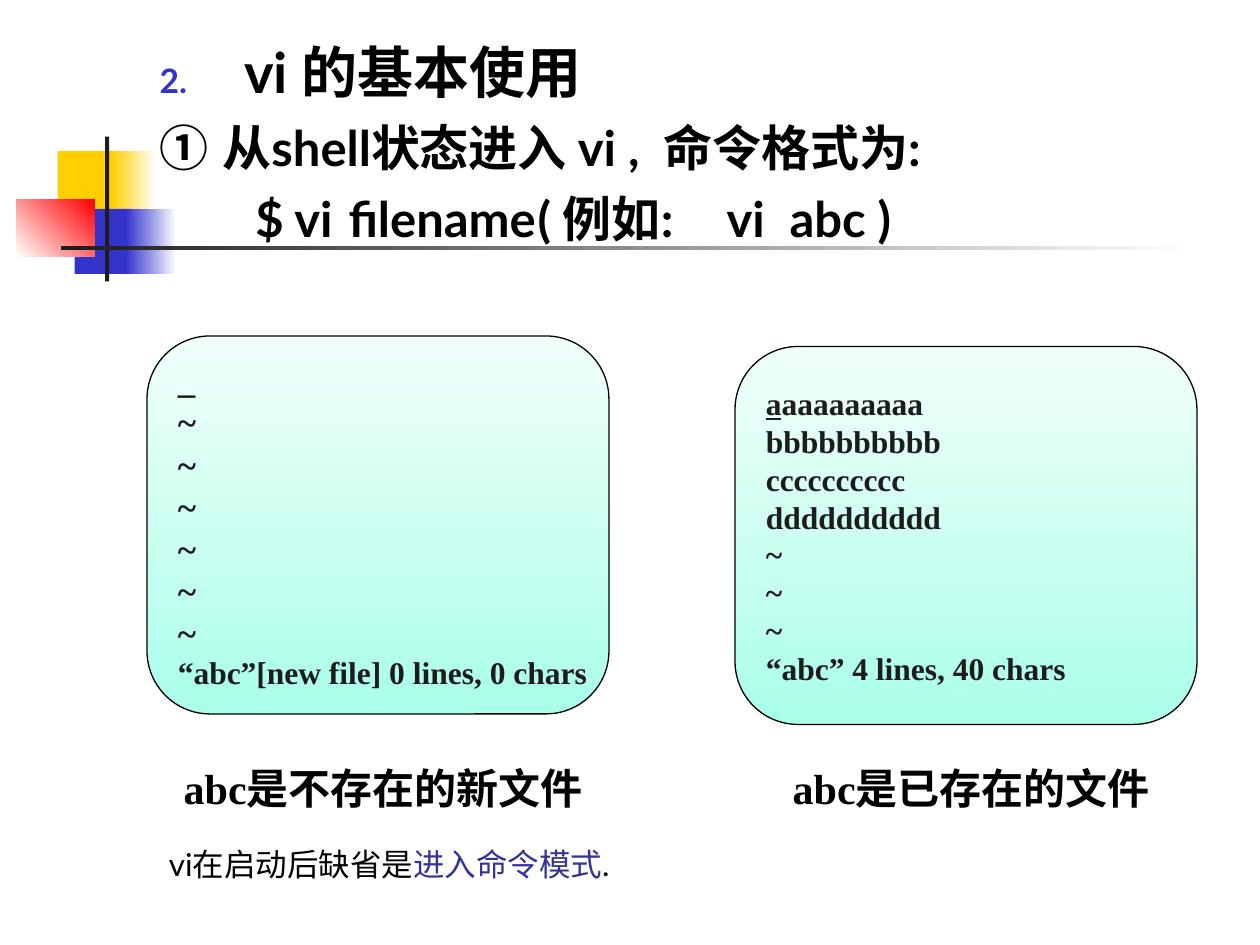
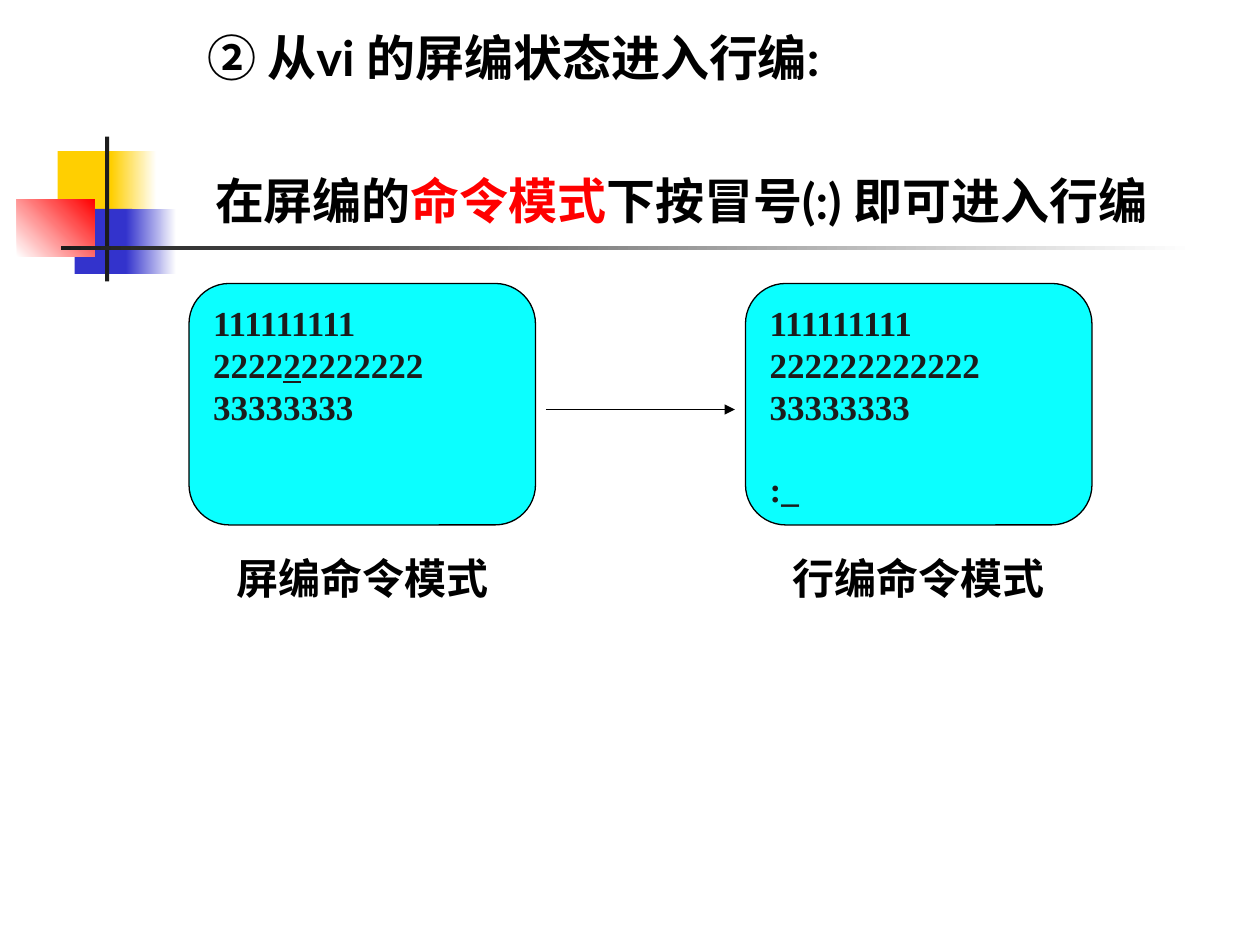
"""Build two slides on starting vi and on switching to its line editing mode."""
from lxml.etree import SubElement
from pptx import Presentation
from pptx.dml.color import RGBColor
from pptx.enum.shapes import MSO_CONNECTOR, MSO_SHAPE
from pptx.enum.text import MSO_ANCHOR, MSO_AUTO_SIZE, PP_ALIGN
from pptx.oxml.ns import qn
from pptx.util import Inches, Pt

BLACK = RGBColor(0x00, 0x00, 0x00)
WHITE = RGBColor(0xFF, 0xFF, 0xFF)
INK = RGBColor(0x1C, 0x1C, 0x1C)
YELLOW = RGBColor(0xFF, 0xCF, 0x01)
BLUE = RGBColor(0x33, 0x33, 0xCC)
INDIGO = RGBColor(0x33, 0x33, 0x99)
RED = RGBColor(0xFF, 0x00, 0x00)
CYAN = RGBColor(0x0B, 0xFF, 0xFF)
MINT_LIGHT = RGBColor(0xF1, 0xFF, 0xFB)
MINT = RGBColor(0xAA, 0xFF, 0xE9)

SANS = "Lato"
SERIF = "Times New Roman"
COLUMNS, ROWS = 120, 90


def write(paragraph, *runs, size=28, font=SANS, color=BLACK, bold=True, before=0, align=None):
    """Add runs to a paragraph; a run is a string or a (string, changes) pair."""
    paragraph.space_before = Pt(before)
    paragraph.alignment = align
    for run_source in runs:
        text, changes = (run_source, {}) if isinstance(run_source, str) else run_source
        run = paragraph.add_run()
        run.text = text
        run.font.name = font
        run.font.size = Pt(size)
        run.font.bold = bold
        run.font.color.rgb = changes.get("color", color)
        run.font.underline = changes.get("underline")


def indent(paragraph, first=0.0, margin=0.0, number=None, tabs=()):
    """Set indents and tab stops in inches, and an optional coloured list number."""
    properties = paragraph._p.get_or_add_pPr()
    properties.set("marL", str(Inches(margin)))
    properties.set("indent", str(Inches(first)))
    if number is None:
        SubElement(properties, qn("a:buNone"))
    else:
        bullet_color = SubElement(properties, qn("a:buClr"))
        SubElement(bullet_color, qn("a:srgbClr"), val=str(BLUE))
        SubElement(properties, qn("a:buSzPct"), val="60000")
        SubElement(properties, qn("a:buAutoNum"), type="arabicPeriod", startAt=str(number))
    if tabs:
        tab_list = SubElement(properties, qn("a:tabLst"))
        for position in tabs:
            SubElement(tab_list, qn("a:tab"), pos=str(Inches(position)), algn="l")


class Deck:
    """Hold the presentation, its grid and the current slide."""

    def __init__(self):
        self.presentation = Presentation()
        self.presentation.slide_width = Inches(10)
        self.presentation.slide_height = Inches(7.5)
        self.layout = self.presentation.slide_layouts[1]
        self.slide = None

    def place(self, column, row, width, height):
        """Turn grid columns and rows into slide lengths."""
        cell_width = self.presentation.slide_width / COLUMNS
        cell_height = self.presentation.slide_height / ROWS
        return (round(column * cell_width), round(row * cell_height),
                round(width * cell_width), round(height * cell_height))

    def add_slide(self):
        """Start a slide that has only the body placeholder."""
        self.slide = self.presentation.slides.add_slide(self.layout)
        title = self.slide.shapes.title.element
        title.getparent().remove(title)

    def block(self, kind, frame, *colors, angle=0, outline=None):
        """Add a preset shape with a solid or a two-colour gradient fill."""
        shape = self.slide.shapes.add_shape(kind, *self.place(*frame))
        shape.shadow.inherit = False
        if len(colors) == 1:
            shape.fill.solid()
            shape.fill.fore_color.rgb = colors[0]
        else:
            shape.fill.gradient()
            shape.fill.gradient_angle = angle
            for stop, color in zip(shape.fill.gradient_stops, colors):
                stop.color.rgb = color
        if outline is None:
            shape.line.fill.background()
        else:
            shape.line.color.rgb = outline
            shape.line.width = Pt(0.75)
        return shape

    def decorate_layout(self):
        """Put the coloured squares and the cross lines on the shared layout."""
        parts = [
            ((5.5, 14.4, 5.8, 6.2), (YELLOW,), 0),
            ((10.6, 14.4, 4.3, 6.2), (YELLOW, WHITE), 0),
            ((7.1, 19.9, 5.5, 6.2), (BLUE,), 0),
            ((12, 19.9, 4.8, 6.2), (BLUE, WHITE), 0),
            ((1.6, 18.96, 7.4, 5.5), (WHITE, RED), 45),
            ((10, 13, 0.4, 13.8), (INK,), 0),
            ((5.8, 23.4, 108, 0.4), (INK, WHITE), 0),
        ]
        for number, (frame, colors, angle) in enumerate(parts, 101):
            element = self.block(MSO_SHAPE.RECTANGLE, frame, *colors, angle=angle).element
            element.nvSpPr.cNvPr.set("id", str(number))
            self.layout.shapes.element.append(element)

    def body(self, frame, paragraphs):
        """Fill the body placeholder from (runs, text format, indent format) rows."""
        placeholder = self.slide.placeholders[1]
        (placeholder.left, placeholder.top,
         placeholder.width, placeholder.height) = self.place(*frame)
        text_frame = placeholder.text_frame
        text_frame.auto_size = MSO_AUTO_SIZE.NONE
        for index, (runs, text_format, indent_format) in enumerate(paragraphs):
            paragraph = text_frame.add_paragraph() if index else text_frame.paragraphs[0]
            write(paragraph, *runs, **text_format)
            indent(paragraph, **indent_format)

    def screen(self, kind, frame, colors, lines, anchor=MSO_ANCHOR.MIDDLE):
        """Draw a terminal screen from (runs, text format) rows."""
        shape = self.block(kind, frame, *colors, angle=270, outline=BLACK)
        text_frame = shape.text_frame
        text_frame.word_wrap = False
        text_frame.vertical_anchor = anchor
        for index, (runs, text_format) in enumerate(lines):
            paragraph = text_frame.add_paragraph() if index else text_frame.paragraphs[0]
            write(paragraph, *runs, font=SERIF, color=INK, align=PP_ALIGN.LEFT, **text_format)

    def label(self, frame, *runs, **text_format):
        """Add a text box with one paragraph."""
        box = self.slide.shapes.add_textbox(*self.place(*frame))
        box.text_frame.word_wrap = True
        write(box.text_frame.paragraphs[0], *runs, **text_format)

    def caption(self, frame, text):
        """Add the centred caption of a screen."""
        self.label(frame, text, size=24, font=SERIF, align=PP_ALIGN.CENTER)

    def arrow(self, start, end, row):
        """Draw a horizontal arrow between two columns."""
        left, top, width, _ = self.place(start, row, end - start, 0)
        connector = self.slide.shapes.add_connector(
            MSO_CONNECTOR.STRAIGHT, left, top, left + width, top)
        connector.line.color.rgb = BLACK
        connector.line.width = Pt(0.75)
        SubElement(connector.line._get_or_add_ln(), qn("a:tailEnd"), type="triangle")
        SubElement(connector.element.spPr, qn("a:effectLst"))


def build_start_slide(deck):
    """Show how vi starts with a new file and with an existing one."""
    deck.body((14, 3, 106, 87), [
        (["vi 的基本使用"], {"size": 32, "before": 8},
         {"first": -0.67, "margin": 0.67, "number": 2}),
        (["①\t从shell状态进入 vi ,\t命令格式为:"], {"before": 7}, {"tabs": (0.56, 4.44)}),
        (["$ vi\tfilename\t( 例如:\tvi\tabc )"], {"before": 7},
         {"first": 0.76, "tabs": (1.75, 3.6, 5.06, 5.64)}),
    ])
    large, small = {"size": 20}, {"size": 18}
    new_file = [([text], large) for text in ["_"] + ["~"] * 6]
    new_file.append((["“abc”[new file] 0 lines, 0 chars"], small))
    old_file = [([("a", {"underline": True}), "a" * 9], small)]
    old_file += [([letter * 10], small) for letter in "bcd"]
    old_file += [(["~"], small)] * 3 + [(["“abc” 4 lines, 40 chars"], small)]
    for frame, lines in [((14, 32, 44, 36), new_file), ((70, 33, 44, 36), old_file)]:
        deck.screen(MSO_SHAPE.ROUNDED_RECTANGLE, frame, (MINT_LIGHT, MINT), lines)
    deck.caption((14, 72, 45, 6), "abc是不存在的新文件")
    deck.caption((71, 72, 43, 6), "abc是已存在的文件")
    deck.label((14.9, 79.9, 48, 4.8), "vi在启动后缺省是",
               ("进入命令模式", {"color": INDIGO}), ".", size=18, bold=False)


def build_switch_slide(deck):
    """Show the step from screen editing to line editing."""
    deck.body((14, 2, 106, 88), [
        (["② 从vi 的屏编状态进入行编:"], {"before": 7}, {"first": 0.38}),
        (["在屏编的", ("命令模式", {"color": RED}), "下按冒号(:) 即可进入行编"],
         {"before": 48}, {"first": 0.44}),
    ])
    plain = {"size": 20}
    ones, threes = (["1" * 9], plain), (["3" * 8], plain)
    marked_twos = (["2222", ("2", {"underline": True}), "2" * 7], plain)
    prompt = ([":_"], {"size": 20, "before": 23})
    screens = [
        (18, [ones, marked_twos, threes], "屏编命令模式"),
        (71, [ones, (["2" * 12], plain), threes, prompt], "行编命令模式"),
    ]
    for column, lines, caption in screens:
        deck.screen(MSO_SHAPE.FLOWCHART_ALTERNATE_PROCESS, (column, 27, 33, 23),
                    (CYAN,), lines, anchor=MSO_ANCHOR.TOP)
        deck.caption((column - 7, 52, 47, 6), caption)
    deck.arrow(52, 70, 39)


def main():
    """Build and save the presentation."""
    deck = Deck()
    deck.add_slide()
    deck.decorate_layout()
    build_start_slide(deck)
    deck.add_slide()
    build_switch_slide(deck)
    deck.presentation.save("out.pptx")


if __name__ == "__main__":
    main()
